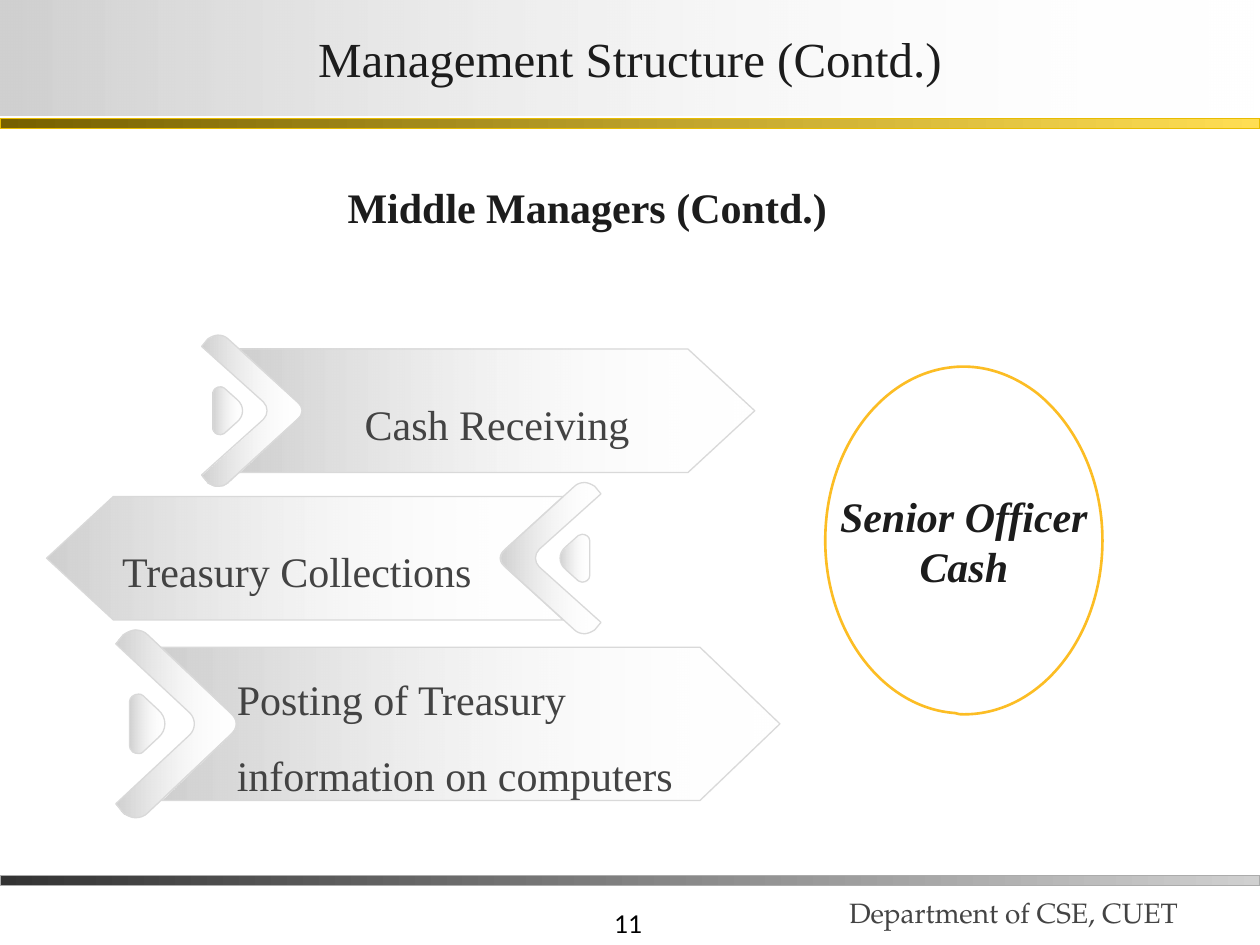
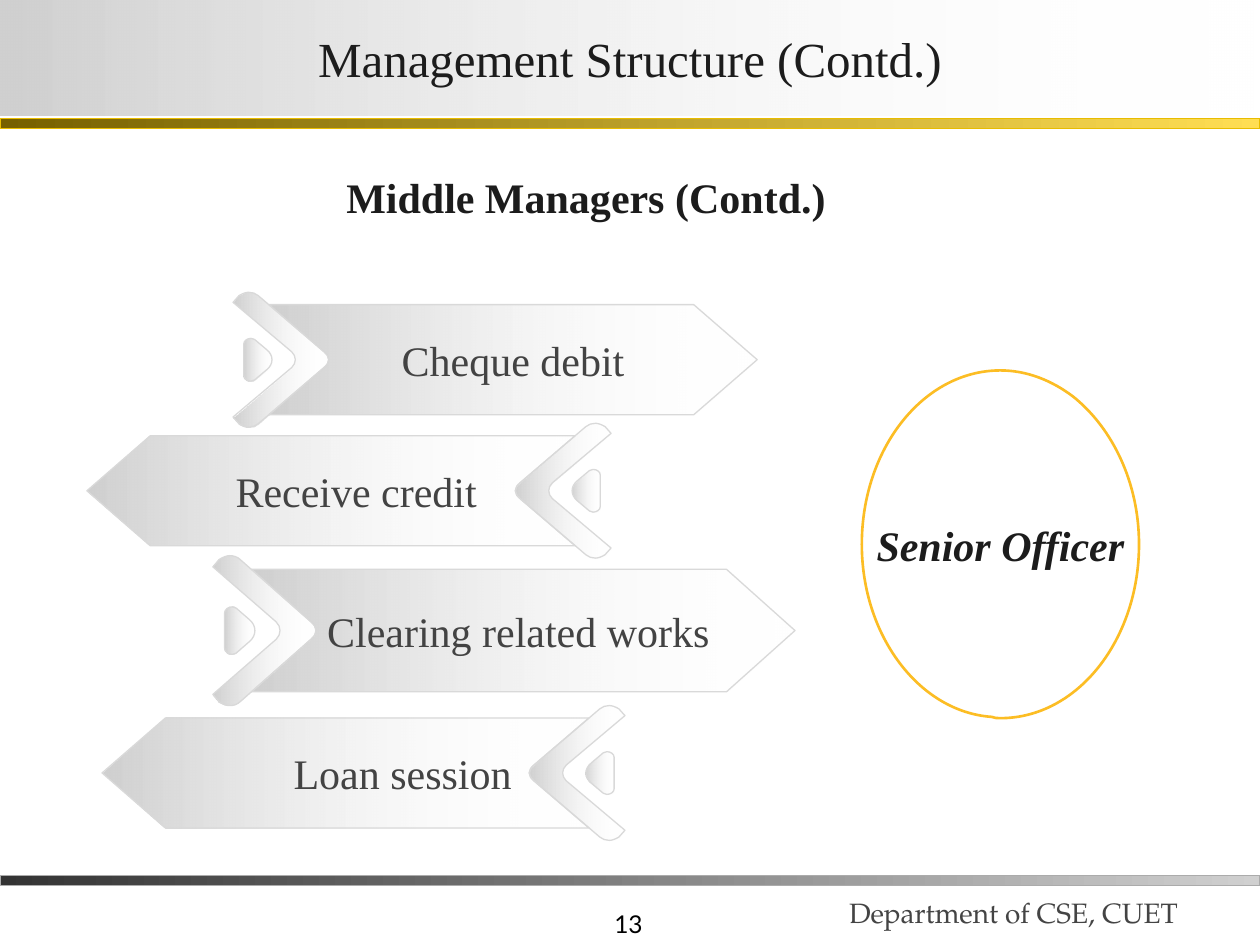
from dataclasses import dataclass

from lxml import etree
from pptx import Presentation
from pptx.dml.color import RGBColor
from pptx.enum.shapes import MSO_SHAPE
from pptx.enum.text import MSO_ANCHOR, MSO_AUTO_SIZE, PP_ALIGN
from pptx.oxml.ns import qn
from pptx.util import Inches, Pt

RECTANGLE = MSO_SHAPE.RECTANGLE
LEFT, CENTER, RIGHT = PP_ALIGN.LEFT, PP_ALIGN.CENTER, PP_ALIGN.RIGHT
TOP, MIDDLE, BOTTOM = MSO_ANCHOR.TOP, MSO_ANCHOR.MIDDLE, MSO_ANCHOR.BOTTOM
NO_AUTOFIT = MSO_AUTO_SIZE.NONE

SERIF, NUMBER_FONT, FOOTER_FONT = "Times New Roman", "Lato", "TeX Gyre Pagella"
INK, BODY_INK, FOOTER_INK = "1C1C1C", "434343", "444444"
SILVER, WHITE, EDGE, GOLD = "D0D0D0", "FFFFFF", "D9D9D9", "FCBD24"

# Outlines in inches. One point is a straight step, three are a Bézier step.
CHEVRON_WIDTH, BANNER_HEIGHT = 0.81, 1.2
CHEVRON = [
    [(0.13, 0)],
    [(0.11, 0), (0.08, 0.01), (0.05, 0.03)],
    [(0, 0.09)],
    [(0.49, 0.53)],
    [(0.53, 0.57), (0.53, 0.63), (0.49, 0.67)],
    [(0, 1.11)],
    [(0.05, 1.17)],
    [(0.08, 1.19), (0.11, 1.2), (0.13, 1.2)],
    [(0.16, 1.2), (0.19, 1.19), (0.21, 1.17)],
    [(0.76, 0.67)],
    [(0.81, 0.63), (0.81, 0.57), (0.76, 0.53)],
    [(0.21, 0.03)],
    [(0.19, 0.01), (0.16, 0), (0.13, 0)],
]
PEBBLE = [
    [(0.15, 0.41)],
    [(0.12, 0.41), (0.09, 0.43), (0.09, 0.46)],
    [(0.09, 0.74)],
    [(0.09, 0.77), (0.12, 0.79), (0.15, 0.79)],
    [(0.16, 0.79), (0.17, 0.79), (0.18, 0.78)],
    [(0.28, 0.69)],
    [(0.34, 0.64), (0.34, 0.56), (0.28, 0.51)],
    [(0.18, 0.42)],
    [(0.17, 0.41), (0.16, 0.41), (0.15, 0.41)],
]
NOTCH = [
    [(0.3, 0.11)],
    [(0.76, 0.53)],
    [(0.78, 0.55), (0.8, 0.57), (0.8, 0.6)],
    [(0.8, 0.63), (0.78, 0.65), (0.76, 0.67)],
    [(0.3, 1.09)],
]
ELLIPSE = [
    [(1.1, 0)],
    [(0.49, 0), (0, 0.62), (0, 1.38)],
    [(0, 2.11), (0.46, 2.71), (1.03, 2.75)],
    [(1.05, 2.76), (1.08, 2.76), (1.1, 2.76)],
    [(1.71, 2.76), (2.2, 2.14), (2.2, 1.38)],
    [(2.2, 0.89), (1.99, 0.46), (1.68, 0.21)],
    [(1.51, 0.08), (1.31, 0), (1.1, 0)],
]


@dataclass
class Banner:
    """An arrow with a chevron at its tail; left and top bound the whole."""
    text: str
    left: float
    top: float
    length: float
    chevron_width: float
    height: float
    points_left: bool = False
    align: int = LEFT
    indent: float = 0
    spacing: float = 1.0


def color(hex_code):
    return RGBColor.from_string(hex_code)


def set_line(shape, hex_code, width=0.75):
    shape.line.color.rgb = color(hex_code)
    shape.line.width = Pt(width)


def set_gradient(shape, start, end, fade=False):
    """Left-to-right gradient; fade makes its end fully transparent."""
    shape.fill.gradient()
    shape.fill.gradient_angle = 0
    for stop, hex_code in zip(shape.fill.gradient_stops, (start, end)):
        stop.color.rgb = color(hex_code)
    if fade:
        last_color = shape.element.findall(".//" + qn("a:gs"))[-1][0]
        etree.SubElement(last_color, qn("a:alpha")).set("val", "0")


def place(shape, left, top, width, height):
    shape.left, shape.top = Inches(left), Inches(top)
    shape.width, shape.height = Inches(width), Inches(height)


def write(shape, text, size, font, ink, align=LEFT, anchor=MIDDLE,
          insets=(0.1, 0.1, 0.1, 0.1), bold=False, italic=False,
          spacing=1.0):
    frame = shape.text_frame
    frame.auto_size = NO_AUTOFIT
    frame.word_wrap = True
    frame.vertical_anchor = anchor
    (frame.margin_left, frame.margin_top,
     frame.margin_right, frame.margin_bottom) = map(Inches, insets)
    para = frame.paragraphs[0]
    para.alignment = align
    para.line_spacing = spacing
    span = para.add_run()
    span.text = text
    span.font.size = Pt(size)
    span.font.name = font
    span.font.bold = bold
    span.font.italic = italic
    span.font.color.rgb = color(ink)


def add_text(slide, text, position, *args, **style):
    box = slide.shapes.add_textbox(*map(Inches, position))
    write(box, text, *args, **style)


def add_band(slide, top, start, end, edge):
    band = slide.shapes.add_shape(
        RECTANGLE, 0, Inches(top), Inches(10), Inches(0.08))
    band.shadow.inherit = False
    set_gradient(band, start, end)
    set_line(band, edge)


def add_framed_slide(deck, number):
    slide = deck.slides.add_slide(deck.slide_layouts[5])
    title = slide.shapes.title
    place(title, 0, 0, 10, 0.92)
    set_gradient(title, SILVER, WHITE, fade=True)
    write(title, "Management Structure (Contd.)", 28, SERIF, INK, CENTER,
          insets=(0.02, 0.01, 0.02, 0.01))
    add_band(slide, 0.94, "766000", "FFDE53", "E8BC00")
    add_band(slide, 6.95, "333333", SILVER, "ABABAB")
    footer_style = {"anchor": BOTTOM, "insets": (0.1, 0.05, 0.1, 0.05)}
    add_text(slide, str(number), (3.12, 7, 2.08, 0.5), 14, NUMBER_FONT,
             "000000", RIGHT, **footer_style)
    add_text(slide, "Department of CSE, CUET", (6.64, 6.8, 3.44, 0.62), 16,
             FOOTER_FONT, FOOTER_INK, **footer_style)
    return slide


def add_heading(slide, left, top):
    add_text(slide, "Middle Managers (Contd.)", (left, top, 4.41, 0.61), 24,
             SERIF, INK, anchor=TOP, bold=True, spacing=1.3)


def add_outline(slide, steps, locate):
    """Draw a closed outline; locate maps its points to slide inches."""
    points = [tuple(map(Inches, locate(x, y))) for step in steps
              for x, y in step]
    builder = slide.shapes.build_freeform(*points[0])
    builder.add_line_segments(points[1:], close=True)
    shape = builder.convert_to_shape()
    shape.shadow.inherit = False

    segments = iter(shape.element.findall(".//" + qn("a:lnTo")))
    for step in steps[1:]:
        first = next(segments)
        if len(step) == 3:
            first.tag = qn("a:cubicBezTo")
            for segment in (next(segments), next(segments)):
                first.append(segment[0])
                segment.getparent().remove(segment)
    return shape


def add_role(slide, left, top, role):
    oval = add_outline(slide, ELLIPSE, lambda x, y: (left + x, top + y))
    oval.fill.solid()
    oval.fill.fore_color.rgb = color(WHITE)
    set_line(oval, GOLD, 1.5)
    write(oval, role, 24, SERIF, INK, CENTER, bold=True, italic=True)


def add_banner(slide, banner):
    scale_x = banner.chevron_width / CHEVRON_WIDTH
    scale_y = banner.height / BANNER_HEIGHT

    def locate(x, y):
        offset = x * scale_x
        if banner.points_left:
            offset = banner.length - offset
        return banner.left + offset, banner.top + y * scale_y

    tip = banner.length / scale_x
    shoulder = tip - 0.53
    arrow = NOTCH + [[(shoulder, 1.09)], [(tip, 0.6)], [(shoulder, 0.11)]]
    for steps in (CHEVRON, PEBBLE, arrow):
        part = add_outline(slide, steps, locate)
        set_gradient(part, SILVER, WHITE, fade=True)
        set_line(part, EDGE)
    write(part, banner.text, 24, SERIF, BODY_INK, banner.align,
          insets=(0.6 + banner.indent, 0.1, 0.6, 0.1),
          spacing=banner.spacing)


def main():
    deck = Presentation()
    deck.slide_width, deck.slide_height = Inches(10), Inches(7.5)

    cash = add_framed_slide(deck, 11)
    add_heading(cash, 2.66, 1.22)
    add_role(cash, 6.55, 2.91, "Senior Officer Cash")
    for banner in (
        Banner("Treasury Collections", 0.37, 3.83, 4.4, 0.81, 1.2,
               points_left=True, spacing=1.5),
        Banner("Posting of Treasury information on computers",
               0.92, 5, 5.27, 0.97, 1.49, spacing=1.5),
        Banner("Cash Receiving", 1.6, 2.66, 4.39, 0.81, 1.2,
               align=CENTER, spacing=1.5),
    ):
        add_banner(cash, banner)

    officer = add_framed_slide(deck, 13)
    add_heading(officer, 2.65, 1.14)
    add_role(officer, 6.84, 2.94, "Senior Officer")
    for banner in (
        Banner("Receive credit", 0.69, 3.36, 4.16, 0.77, 1.07,
               points_left=True, indent=0.58),
        Banner("Clearing related works", 1.69, 4.41, 4.62, 0.83, 1.19),
        Banner("Cheque debit", 1.85, 2.32, 4.16, 0.77, 1.07, align=CENTER),
        Banner("Loan session", 0.81, 5.6, 4.15, 0.77, 1.07,
               points_left=True, indent=0.92),
    ):
        add_banner(officer, banner)

    deck.save("out.pptx")


if __name__ == "__main__":
    main()
